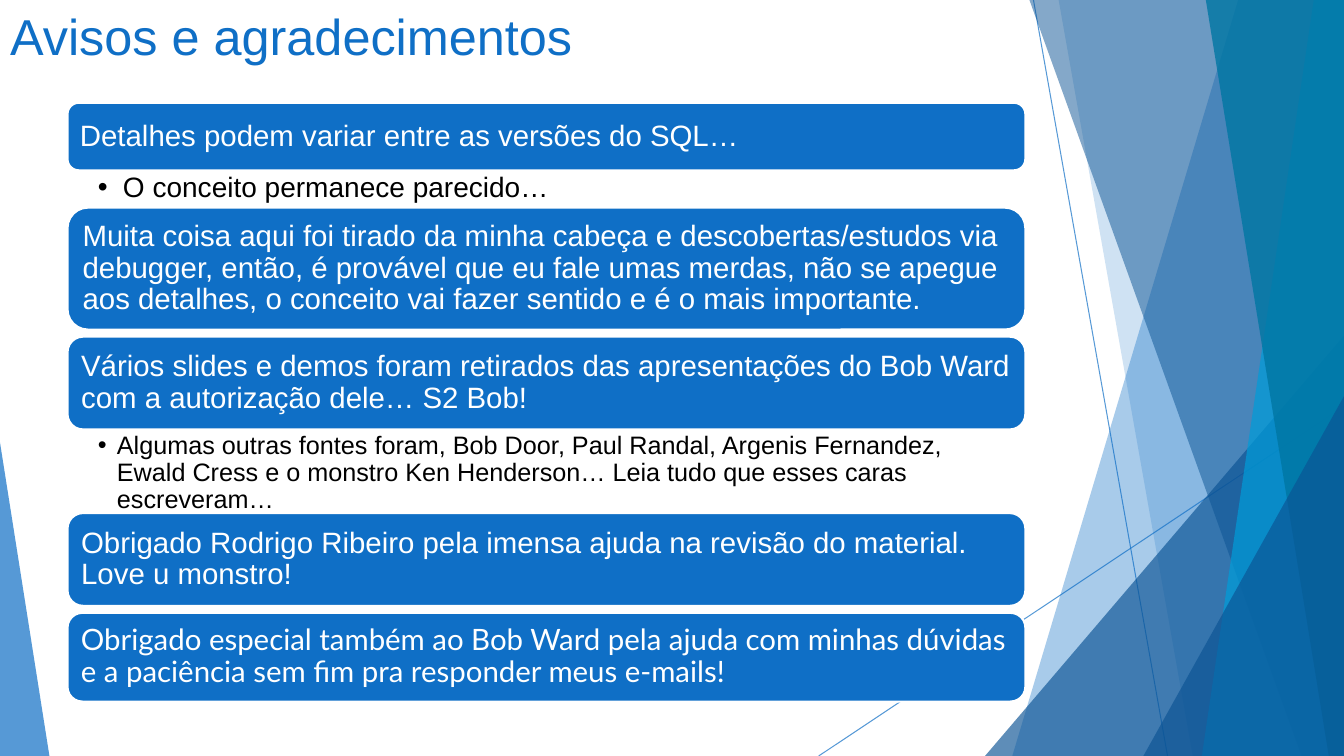
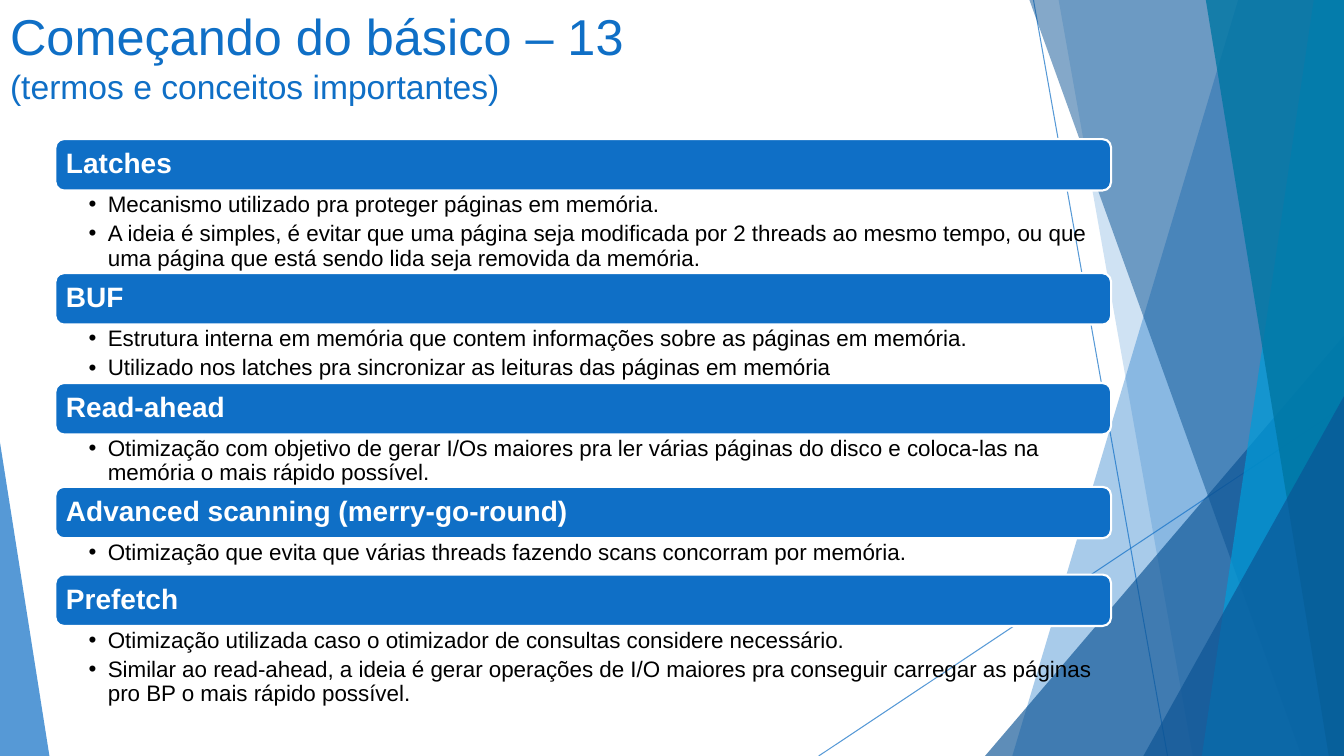
"""Build two slides of captioned bars on a faceted blue backdrop."""
import dataclasses

import lxml.etree
import pptx
import pptx.dml.color
import pptx.enum.shapes
import pptx.enum.text
import pptx.oxml.ns
import pptx.util

Inches = pptx.util.Inches
SHAPES = pptx.enum.shapes.MSO_SHAPE
ANCHOR = pptx.enum.text.MSO_ANCHOR


@dataclasses.dataclass(frozen=True)
class Theme:
    """Colours, fonts and type sizes shared by the slides."""
    blue: str = "0F6FC6"
    navy: str = "0B5394"
    cyan: str = "009DD9"
    teal: str = "0076A3"
    white: str = "FFFFFF"
    black: str = "000000"
    font: str = "Arial"
    accent_font: str = "Lato"
    title: float = 36
    subtitle: float = 24
    notice: float = 21
    term: float = 20
    definition: float = 16
    line_spacing: float = 0.9
    bullet_gap: float = 3.5
    bar_outline: float = 1.5
    hairline: float = 0.75


@dataclasses.dataclass(frozen=True)
class Box:
    """A region of the slide in inches."""
    left: float
    top: float
    width: float
    height: float

    def lengths(self):
        """Return the position and size as lengths."""
        return [Inches(value) for value in dataclasses.astuple(self)]


@dataclasses.dataclass(frozen=True)
class Details:
    """Bullets below a bar, with the height they take."""
    height: float
    lines: tuple
    size: float = Theme.definition
    indent: float = 0.19


@dataclasses.dataclass(frozen=True)
class Entry:
    """A bar with its height and the details below it."""
    text: str
    height: float = 0.51
    details: Details | None = None
    font: str = Theme.font


@dataclasses.dataclass(frozen=True)
class StackStyle:
    """Type and insets of a stack of bars."""
    size: float
    bold: bool
    bar_inset: float
    details_inset: float
    gap: float = 0.07


THEME = Theme()
PAGE = Box(0, 0, 13.33, 7.5)

NOTICES = (
    Entry("Detalhes podem variar entre as versões do SQL…", 0.67,
          Details(0.37, ("O conceito permanece parecido…",), 20, 0.25)),
    Entry("Muita coisa aqui foi tirado da minha cabeça e descobertas/estudos via "
          "debugger, então, é provável que eu fale umas merdas, não se apegue aos "
          "detalhes, o conceito vai fazer sentido e é o mais importante.", 1.21),
    Entry("Vários slides e demos foram retirados das apresentações do Bob Ward com a "
          "autorização dele… S2 Bob!", 0.92,
          Details(0.83, ("Algumas outras fontes foram, Bob Door, Paul Randal, Argenis "
                         "Fernandez, Ewald Cress e o monstro Ken Henderson… Leia tudo "
                         "que esses caras escreveram…",), 18)),
    Entry("Obrigado Rodrigo Ribeiro pela imensa ajuda na revisão do material. "
          "Love u monstro!", 0.92),
    Entry("Obrigado especial também ao Bob Ward pela ajuda com minhas dúvidas e a "
          "paciência sem fim pra responder meus e-mails!", 0.88,
          font=THEME.accent_font),
)

TERMS = (
    Entry("Latches", details=Details(0.82, (
        "Mecanismo utilizado pra proteger páginas em memória.",
        "A ideia é simples, é evitar que uma página seja modificada por 2 threads ao "
        "mesmo tempo, ou que uma página que está sendo lida seja removida da memória."))),
    Entry("BUF", details=Details(0.58, (
        "Estrutura interna em memória que contem informações sobre as páginas em memória.",
        "Utilizado nos latches pra sincronizar as leituras das páginas em memória"))),
    Entry("Read-ahead", details=Details(0.52, (
        "Otimização com objetivo de gerar I/Os maiores pra ler várias páginas do disco e "
        "coloca-las na memória o mais rápido possível.",))),
    Entry("Advanced scanning (merry-go-round)", details=Details(0.36, (
        "Otimização que evita que várias threads fazendo scans concorram por memória.",))),
    Entry("Prefetch", details=Details(0.81, (
        "Otimização utilizada caso o otimizador de consultas considere necessário.",
        "Similar ao read-ahead, a ideia é gerar operações de I/O maiores pra conseguir "
        "carregar as páginas pro BP o mais rápido possível."))),
)


def color(value):
    """Return a colour from its hexadecimal text."""
    return pptx.dml.color.RGBColor.from_string(value)


def add_child(parent, tag, **attributes):
    """Append a drawing element to its parent."""
    return lxml.etree.SubElement(parent, pptx.oxml.ns.qn(tag), attributes)


def set_opacity(shape, percent):
    """Make the only colour of a shape partly transparent."""
    solid = shape.element.spPr.find(".//" + pptx.oxml.ns.qn("a:srgbClr"))
    add_child(solid, "a:alpha", val=str(percent * 1000))


def fill_facet(shape, fill, percent):
    """Give a backdrop shape a translucent fill and no outline."""
    shape.shadow.inherit = False
    shape.fill.solid()
    shape.fill.fore_color.rgb = color(fill)
    shape.line.fill.background()
    set_opacity(shape, percent)


def add_ray(slide, box, start, end):
    """Draw a thin translucent line across the backdrop."""
    points = [Inches(value) for x, y in (start, end) for value in (box.left + x, box.top + y)]
    ray = slide.shapes.add_connector(pptx.enum.shapes.MSO_CONNECTOR.STRAIGHT, *points)
    ray.line.color.rgb = color(THEME.blue)
    ray.line.width = pptx.util.Pt(THEME.hairline)
    set_opacity(ray, 70)
    add_child(ray.element.spPr, "a:effectLst")


def add_facet(slide, box, top_x, bottom_x, fill, percent):
    """Draw a slanted panel that reaches the right edge of the box."""
    right, bottom = box.left + box.width, box.top + box.height
    corners = [(box.left + top_x, box.top), (right, box.top),
               (right, bottom), (box.left + bottom_x, bottom)]
    points = [(Inches(x), Inches(y)) for x, y in corners]
    builder = slide.shapes.build_freeform(*points[0], scale=1.0)
    builder.add_line_segments(points[1:], close=True)
    fill_facet(builder.convert_to_shape(), fill, percent)


def add_corner(slide, box, left, width, height, apex, fill, percent):
    """Draw a right triangle standing on the bottom edge of the box."""
    corner = Box(box.left + left, box.top + box.height - height, width, height)
    shape = slide.shapes.add_shape(SHAPES.ISOSCELES_TRIANGLE, *corner.lengths())
    shape.adjustments[0] = apex
    fill_facet(shape, fill, percent)


def draw_backdrop(slide, box):
    """Draw the rays and facets from back to front."""
    add_ray(slide, box, (10.25, 0), (11.58, 7.5))
    add_ray(slide, box, (13.33, 4.03), (8.12, 7.5))
    add_facet(slide, box, 12.28, 10.04, THEME.blue, 36)
    add_facet(slide, box, 10.5, 11.83, THEME.blue, 20)
    add_corner(slide, box, 9.77, 3.56, 4.17, 1, THEME.navy, 66)
    add_facet(slide, box, 10.21, 12.91, THEME.navy, 50)
    add_facet(slide, box, 13.03, 11.92, THEME.cyan, 70)
    add_facet(slide, box, 11.96, 13.18, THEME.teal, 80)
    add_corner(slide, box, 11.34, 1.99, 3.57, 1, THEME.navy, 66)
    add_corner(slide, box, 0, 0.49, 3.11, 0, THEME.blue, 70)


def move_backdrop_to_layout(slide, layout):
    """Hand the shapes drawn on a slide to its layout, so that all slides share them."""
    for placeholder in list(layout.placeholders)[1:]:
        layout.shapes.element.remove(placeholder.element)
    for shape in list(slide.shapes):
        if not shape.is_placeholder:
            layout.shapes.element.append(shape.element)


def format_run(run, size, fill, font=THEME.font, bold=False):
    """Set the type of a run."""
    run.font.name = font
    run.font.size = pptx.util.Pt(size)
    run.font.bold = bold
    run.font.color.rgb = color(fill)


def set_frame(text_frame, anchor, left, top, right):
    """Set wrapping, anchor and insets of a text frame."""
    text_frame.word_wrap = True
    text_frame.auto_size = pptx.enum.text.MSO_AUTO_SIZE.NONE
    text_frame.vertical_anchor = anchor
    text_frame.margin_left, text_frame.margin_right = Inches(left), Inches(right)
    text_frame.margin_top = text_frame.margin_bottom = Inches(top)


def set_title(slide, box, lines):
    """Place the title, with any second line in smaller type."""
    title = slide.shapes.title
    title.left, title.top, title.width, title.height = box.lengths()
    set_frame(title.text_frame, ANCHOR.TOP, 0.1, 0.05, 0.1)
    paragraph = title.text_frame.paragraphs[0]
    paragraph.text = "\v".join(lines)
    paragraph.alignment = pptx.enum.text.PP_ALIGN.LEFT
    for run, size in zip(paragraph.runs, (THEME.title, THEME.subtitle)):
        format_run(run, size, THEME.blue)


def add_bar(slide, box, entry, style):
    """Draw a rounded bar with its caption."""
    bar = slide.shapes.add_shape(SHAPES.ROUNDED_RECTANGLE, *box.lengths())
    bar.shadow.inherit = False
    bar.fill.solid()
    bar.fill.fore_color.rgb = color(THEME.blue)
    bar.line.color.rgb = color(THEME.white)
    bar.line.width = pptx.util.Pt(THEME.bar_outline)
    set_frame(bar.text_frame, ANCHOR.MIDDLE, *[style.bar_inset] * 3)
    paragraph = bar.text_frame.paragraphs[0]
    paragraph.text = entry.text
    paragraph.alignment = pptx.enum.text.PP_ALIGN.LEFT
    paragraph.line_spacing = THEME.line_spacing
    format_run(paragraph.runs[0], style.size, THEME.white, entry.font, style.bold)


def add_details(slide, box, details, style):
    """Write the bullets that belong to a bar."""
    text_frame = slide.shapes.add_textbox(*box.lengths()).text_frame
    set_frame(text_frame, ANCHOR.TOP, style.details_inset, 0.03, 0.15)
    text_frame.text = "\n".join(details.lines)
    for paragraph in text_frame.paragraphs:
        paragraph.level = 1
        paragraph.line_spacing = THEME.line_spacing
        paragraph.space_after = pptx.util.Pt(THEME.bullet_gap)
        properties = paragraph._p.get_or_add_pPr()
        properties.set("marL", str(Inches(details.indent)))
        properties.set("indent", str(-Inches(details.indent)))
        add_child(properties, "a:buFont", typeface=THEME.font)
        add_child(properties, "a:buChar", char="•")
        format_run(paragraph.runs[0], details.size, THEME.black)


def add_stack(slide, box, entries, style):
    """Stack bars and their details from the top of the box."""
    top = box.top
    for entry in entries:
        add_bar(slide, Box(box.left, top, box.width, entry.height), entry, style)
        top += entry.height
        if entry.details:
            region = Box(box.left, top, box.width, entry.details.height)
            add_details(slide, region, entry.details, style)
            top += entry.details.height
        else:
            top += style.gap


def main():
    """Build and save the presentation."""
    presentation = pptx.Presentation()
    presentation.slide_width, presentation.slide_height = PAGE.lengths()[2:]
    layout = presentation.slide_layouts[5]

    slide = presentation.slides.add_slide(layout)
    draw_backdrop(slide, PAGE)
    move_backdrop_to_layout(slide, layout)
    set_title(slide, Box(0, 0, 9.4, 0.76), ["Avisos e agradecimentos"])
    add_stack(slide, Box(0.67, 1.02, 9.5, 5.93), NOTICES,
              StackStyle(THEME.notice, False, 0.09, 0.3))

    slide = presentation.slides.add_slide(layout)
    set_title(slide, Box(0, 0, 9.4, 1.44),
              ["Começando do básico – 13", "(termos e conceitos importantes)"])
    add_stack(slide, Box(0.55, 1.38, 10.47, 5.64), TERMS,
              StackStyle(THEME.term, True, 0.08, 0.33))

    presentation.save("out.pptx")


if __name__ == "__main__":
    main()
